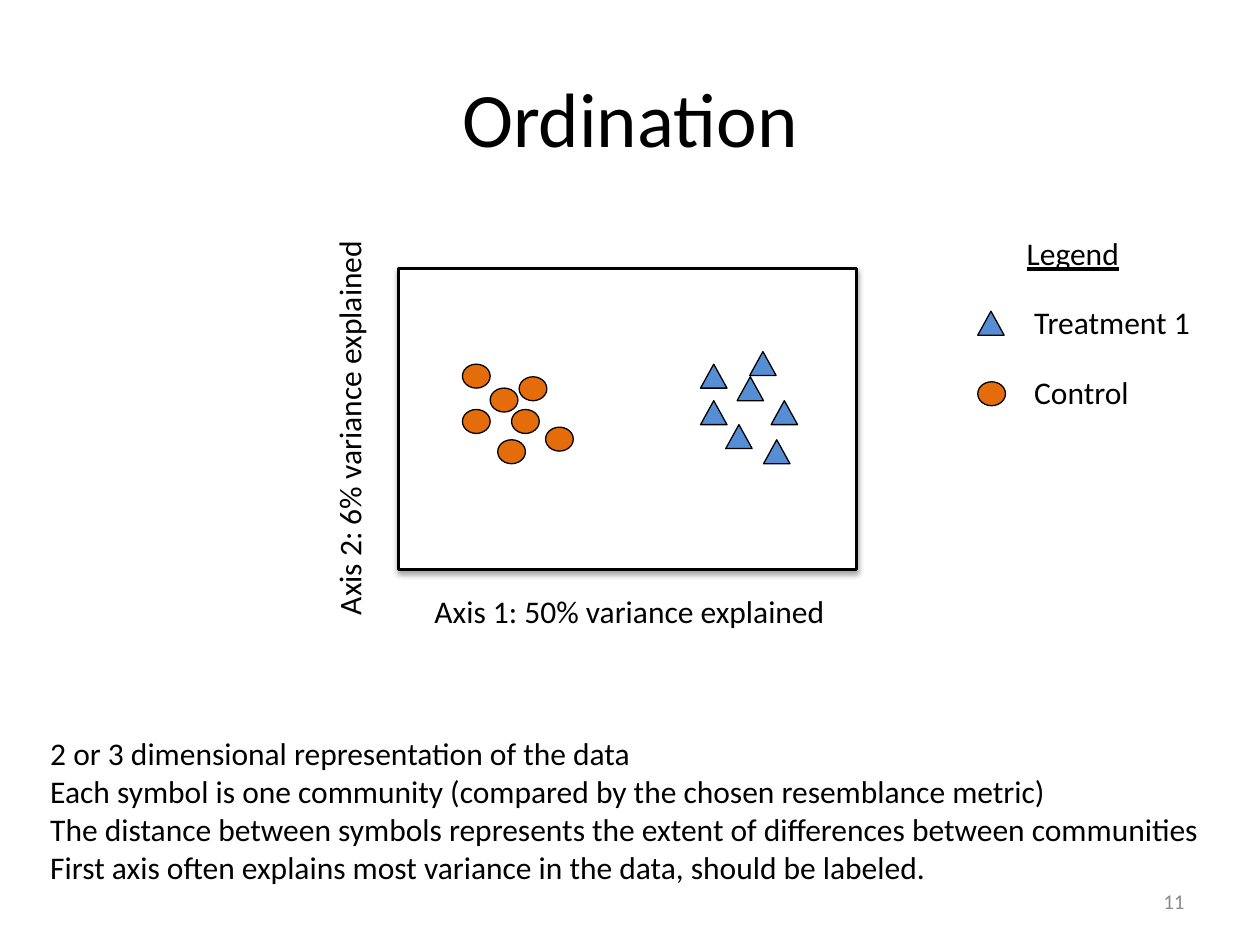
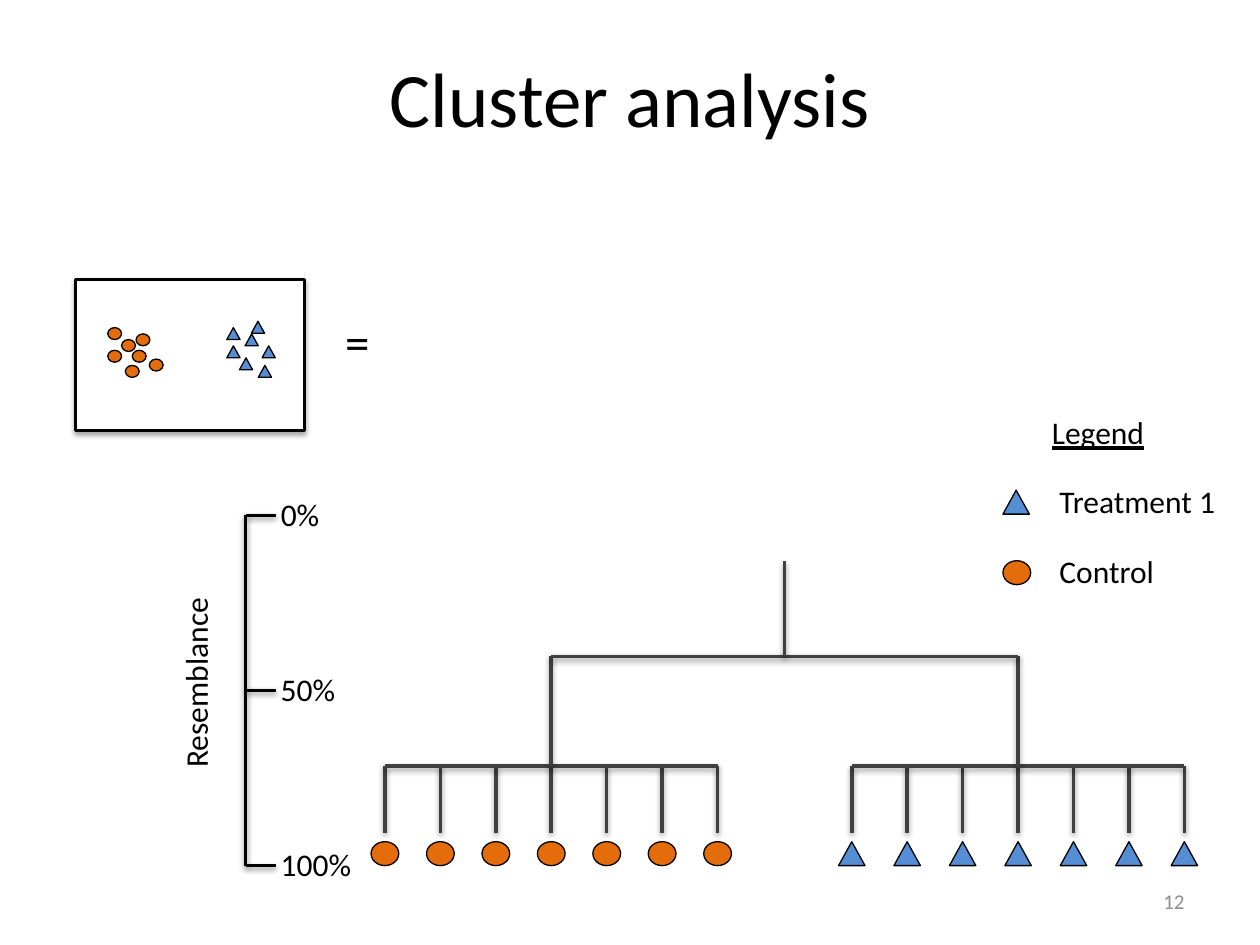
from lxml.etree import SubElement
from pptx import Presentation
from pptx.dml.color import RGBColor
from pptx.enum.shapes import MSO_CONNECTOR, MSO_SHAPE
from pptx.enum.text import MSO_ANCHOR, MSO_AUTO_SIZE, PP_ALIGN
from pptx.oxml.ns import qn
from pptx.util import Emu, Inches, Pt

HUES = {"ink": "000000", "paper": "FFFFFF", "control": "E46C0A",
        "treat": "558ED5", "branch": "404040", "page": "8C8C8C"}
FONT = "Calibri"
COLS = 100
MARKS = {"control": (MSO_SHAPE.OVAL, 2.2, 1.9),
         "treat": (MSO_SHAPE.ISOSCELES_TRIANGLE, 2.1, 1.9)}
SPOTS = {"control": [(7.3, 9.5), (9, 11.2), (9.6, 8.6), (7.9, 13.6),
                     (11.7, 12.6), (5.1, 7.6), (5.1, 11.2)],
         "treat": [(27.9, 6.6), (24, 7.6), (26.9, 8.6), (24, 10.5),
                   (29.6, 10.5), (26, 12.4), (29, 13.6)]}
NOTES = [
    "2 or 3 dimensional representation of the data",
    "Each symbol is one community (compared by the chosen resemblance metric)",
    "The distance between symbols represents the extent of differences between communities",
    "First axis often explains most variance in the data, should be labeled.",
]


def hue(name):
    return RGBColor.from_string(HUES[name])


def write(frame, text, size=18, tint="ink", align=PP_ALIGN.LEFT, under=None):
    frame.text = text
    for para in frame.paragraphs:
        para.alignment = align
        for run in para.runs:
            font = run.font
            font.name, font.size, font.underline = FONT, Pt(size), under
            font.color.rgb = hue(tint)


def shade(item, drop, alpha):
    props = item._element.spPr
    for old in props.findall(qn("a:effectLst")):
        props.remove(old)
    cast = SubElement(SubElement(props, qn("a:effectLst")), qn("a:outerShdw"),
                      blurRad="40000", dist=str(drop), dir="5400000", rotWithShape="0")
    tone = SubElement(cast, qn("a:srgbClr"), val=HUES["ink"])
    SubElement(tone, qn("a:alpha"), val=str(alpha * 1000))


class Deck:
    """Slide builder on a grid of 100 columns by 75 rows."""

    def __init__(self):
        self.show = Presentation()
        self.show.slide_width, self.show.slide_height = Inches(10), Inches(7.5)
        self.unit = self.show.slide_width / COLS

    def span(self, *cells):
        return [Emu(round(cell * self.unit)) for cell in cells]

    def slide(self, title, top, page):
        self.page = self.show.slides.add_slide(self.show.slide_layouts[5])
        head = self.page.shapes.title
        head.left, head.top, head.width, head.height = self.span(5, top, 90, 12.5)
        head.text_frame.vertical_anchor = MSO_ANCHOR.MIDDLE
        write(head.text_frame, title, size=44, align=PP_ALIGN.CENTER)
        foot = self.text(page, 71.7, 69.5, 23.3, 4, wrap=True,
                         size=12, tint="page", align=PP_ALIGN.RIGHT)
        foot.text_frame.vertical_anchor = MSO_ANCHOR.MIDDLE

    def text(self, words, x, y, w, h=4, turn=0, wrap=False, **style):
        box = self.page.shapes.add_textbox(*self.span(x, y, w, h))
        box.rotation = turn
        box.text_frame.word_wrap = wrap
        box.text_frame.auto_size = MSO_AUTO_SIZE.NONE if wrap else MSO_AUTO_SIZE.SHAPE_TO_FIT_TEXT
        write(box.text_frame, words, **style)
        return box

    def shape(self, kind, x, y, w, h, fill, weight):
        item = self.page.shapes.add_shape(kind, *self.span(x, y, w, h))
        item.shadow.inherit = False
        item.fill.solid()
        item.fill.fore_color.rgb = hue(fill)
        item.line.color.rgb = hue("ink")
        item.line.width = Pt(weight)
        return item

    def mark(self, group, x, y, scale=1):
        kind, w, h = MARKS[group]
        self.shape(kind, x, y, w * scale, h * scale, group, 0.75)

    def line(self, x1, y1, x2, y2, tint="branch"):
        bar = self.page.shapes.add_connector(MSO_CONNECTOR.STRAIGHT, *self.span(x1, y1, x2, y2))
        bar.line.color.rgb = hue(tint)
        bar.line.width = Pt(2)
        shade(bar, 20000, 38)

    def plot(self, x, y, scale=1):
        frame = self.shape(MSO_SHAPE.RECTANGLE, x, y, 36.4 * scale, 23.9 * scale, "paper", 1.75)
        shade(frame, 23000, 35)
        for group, spots in SPOTS.items():
            for dx, dy in spots:
                self.mark(group, x + dx * scale, y + dy * scale, scale)

    def legend(self, x, y):
        self.text("Legend", x + 2.9, y - 6.6, 9.4, under=True)
        rows = [("treat", "Treatment 1", 14.5), ("control", "Control", 9.6)]
        for row, (group, label, wide) in enumerate(rows):
            self.mark(group, x, y + 5.6 * row)
            self.text(label, x + 3.5, y - 1.1 + 5.5 * row, wide)

    def comb(self, group, x, top, base, step=4.4):
        count = len(SPOTS[group])
        for leaf in range(count):
            stem = x + leaf * step
            self.line(stem, base, stem, top)
            self.mark(group, stem - MARKS[group][1] / 2, base + 0.7)
        self.line(x, top, x + (count - 1) * step, top)
        return x + (count - 1) * step / 2

    def tree(self, root, join, top, base):
        left = self.comb("control", 30.55, top, base)
        right = self.comb("treat", 67.6, top, base)
        for stem in (left, right):
            self.line(stem, top, stem, join)
        self.line(left, join, right, join)
        mid = (left + right) / 2
        self.line(mid, join, mid, root)

    def scale(self, x, top, step, labels):
        self.line(x, top + step * (len(labels) - 1), x, top, "ink")
        for row, label in enumerate(labels):
            y = top + row * step
            self.line(x, y, x + 2.4, y, "ink")
            self.text(label, x + 1.8, y - 2.1, 5.1 + 1.3 * row)


def main():
    deck = Deck()
    deck.slide("Ordination", 3, "11")
    deck.plot(31.6, 21.3)
    deck.text("Axis 1: 50% variance explained", 33.5, 46.5, 33.3)
    deck.text("Axis 2: 6% variance explained", 11.7, 31.8, 32, turn=270)
    deck.legend(77.6, 24.7)
    deck.text("\n".join(NOTES), 3, 57.8, 94.1, 16.2)

    deck.slide("Cluster analysis", 1.4, "12")
    deck.plot(6, 22.2, 0.5)
    deck.text("=", 26.4, 24.2, 4, 5.7, size=28)
    deck.legend(79.6, 38.9)
    deck.tree(44.5, 52.1, 60.8, 66.1)
    deck.scale(19.5, 40.9, 13.9, ["0%", "50%", "100%"])
    deck.text("Resemblance", 7.7, 52.1, 15.6, turn=270)
    deck.show.save("out.pptx")


if __name__ == "__main__":
    main()
